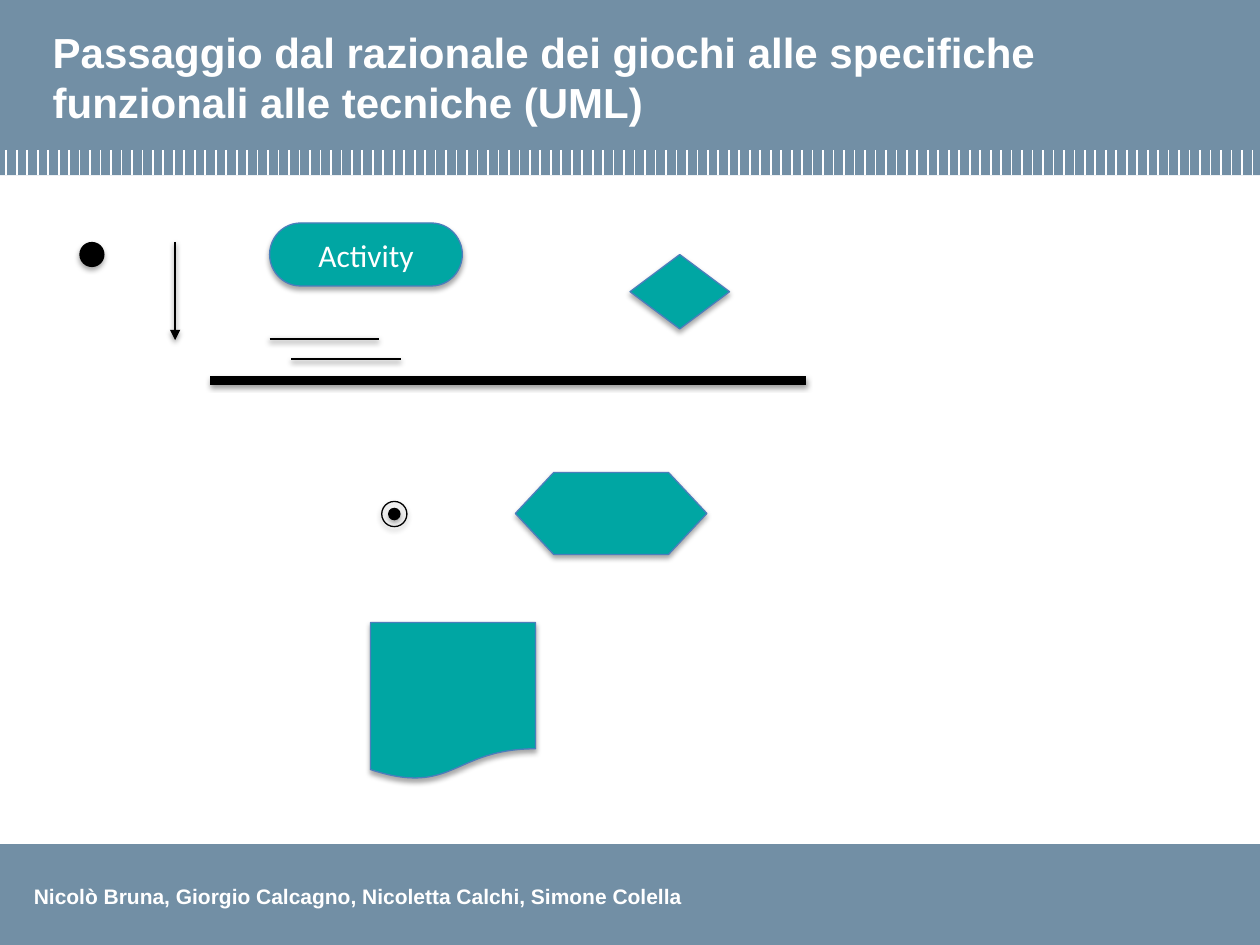
"""Build the slide of UML activity diagram symbols."""
from lxml import etree
from pptx import Presentation
from pptx.dml.color import RGBColor
from pptx.enum.shapes import MSO_CONNECTOR, MSO_SHAPE
from pptx.enum.text import MSO_ANCHOR, PP_ALIGN
from pptx.oxml.ns import qn
from pptx.util import Inches, Pt

RECTANGLE = MSO_SHAPE.RECTANGLE
OVAL = MSO_SHAPE.OVAL
TERMINATOR = MSO_SHAPE.FLOWCHART_TERMINATOR
DECISION = MSO_SHAPE.FLOWCHART_DECISION
PREPARATION = MSO_SHAPE.FLOWCHART_PREPARATION
DOCUMENT = MSO_SHAPE.FLOWCHART_DOCUMENT
STRAIGHT = MSO_CONNECTOR.STRAIGHT
MIDDLE = MSO_ANCHOR.MIDDLE
TOP = MSO_ANCHOR.TOP
LEFT = PP_ALIGN.LEFT
CENTER = PP_ALIGN.CENTER

SLATE = RGBColor(0x72, 0x8F, 0xA5)
TEAL = RGBColor(0x00, 0xA6, 0xA3)
BLUE = RGBColor(0x4B, 0x7E, 0xBC)
WHITE = RGBColor(0xFF, 0xFF, 0xFF)
BLACK = RGBColor(0x00, 0x00, 0x00)

TICK_COUNT = 120
FIRST_TICK, LAST_TICK = 0.05, 9.94
TICK_TOP, HEADER_BOTTOM = 1.19, 1.39


def write_text(frame, text, size, font="Arial", bold=False, align=LEFT,
               anchor=TOP, wrap=True):
    frame.word_wrap = wrap
    frame.vertical_anchor = anchor
    paragraph = frame.paragraphs[0]
    paragraph.alignment = align
    run = paragraph.add_run()
    run.text = text
    run.font.size = Pt(size)
    run.font.name = font
    run.font.bold = bold
    run.font.color.rgb = WHITE


class SymbolSlide:
    def __init__(self, slide):
        self.slide = slide
        self.outline_width = Pt(0.75)

    def effects(self, element, opacity=None, distance=0):
        effect_list = etree.SubElement(element.spPr, qn("a:effectLst"))
        if opacity:
            shadow = etree.SubElement(
                effect_list, qn("a:outerShdw"), blurRad=str(Pt(3.1)),
                dist=str(Pt(distance)), dir="5400000", rotWithShape="0")
            color = etree.SubElement(shadow, qn("a:srgbClr"), val=str(BLACK))
            etree.SubElement(color, qn("a:alpha"), val=str(opacity * 1000))

    def text(self, left, top, width, height, text, **style):
        box = self.slide.shapes.add_textbox(
            Inches(left), Inches(top), Inches(width), Inches(height))
        write_text(box.text_frame, text, **style)

    def shape(self, kind, left, top, width, height, fill=TEAL, outline=BLUE,
              shadow=True):
        shape = self.slide.shapes.add_shape(
            kind, Inches(left), Inches(top), Inches(width), Inches(height))
        if fill is None:
            shape.fill.background()
        else:
            shape.fill.solid()
            shape.fill.fore_color.rgb = fill
        if outline is None:
            shape.line.fill.background()
        else:
            shape.line.color.rgb = outline
            shape.line.width = self.outline_width
        if shadow:
            self.effects(shape._element, 35, 1.8)
        else:
            shape.shadow.inherit = False
        return shape

    def line(self, x1, y1, x2, y2, width=1.5, color=BLACK, shadow=True,
             arrow=False):
        line = self.slide.shapes.add_connector(
            STRAIGHT, Inches(x1), Inches(y1), Inches(x2), Inches(y2))
        line.line.color.rgb = color
        line.line.width = Pt(width)
        if arrow:
            etree.SubElement(line.line._get_or_add_ln(), qn("a:tailEnd"),
                             type="triangle")
        if shadow:
            self.effects(line._element, 38, 1.6)
        else:
            self.effects(line._element)


def main():
    deck = Presentation()
    deck.slide_width, deck.slide_height = Inches(10), Inches(7.5)
    page = SymbolSlide(deck.slides.add_slide(deck.slide_layouts[6]))

    for top, height in ((0, HEADER_BOTTOM), (6.7, 0.8)):
        page.shape(RECTANGLE, 0, top, 10, height, SLATE, None, shadow=False)
    page.text(0.17, 6.96, 5.41, 0.3,
              "Nicolò Bruna, Giorgio Calcagno, Nicoletta Calchi, Simone Colella",
              size=12, bold=True, wrap=False)
    pitch = (LAST_TICK - FIRST_TICK) / (TICK_COUNT - 1)
    for index in range(TICK_COUNT):
        x = FIRST_TICK + index * pitch
        page.line(x, TICK_TOP, x, HEADER_BOTTOM, 1, WHITE, shadow=False)
    page.text(0.32, 0.15, 9.38, 0.92,
              "Passaggio dal razionale dei giochi alle specifiche "
              "funzionali alle tecniche (UML)",
              size=24, bold=True, anchor=MIDDLE)

    page.shape(OVAL, 0.63, 1.92, 0.2, 0.2, BLACK, None)
    page.line(1.39, 1.92, 1.39, 2.7, arrow=True)
    activity = page.shape(TERMINATOR, 2.14, 1.77, 1.53, 0.5)
    write_text(activity.text_frame, "Activity", size=18, font="Calibri",
               align=CENTER, anchor=MIDDLE)
    page.line(1.67, 3.02, 6.4, 3.02, width=5)
    page.shape(DECISION, 5, 2.02, 0.79, 0.59)
    page.shape(OVAL, 3.08, 4.03, 0.1, 0.1, BLACK, None)
    page.shape(OVAL, 3.03, 3.98, 0.2, 0.2, None, BLACK)
    page.line(2.14, 2.69, 3.01, 2.69)
    page.shape(PREPARATION, 4.09, 3.75, 1.52, 0.65)
    page.line(2.31, 2.85, 3.18, 2.85)
    page.shape(DOCUMENT, 2.94, 4.94, 1.31, 1.25)

    deck.save("out.pptx")


if __name__ == "__main__":
    main()
